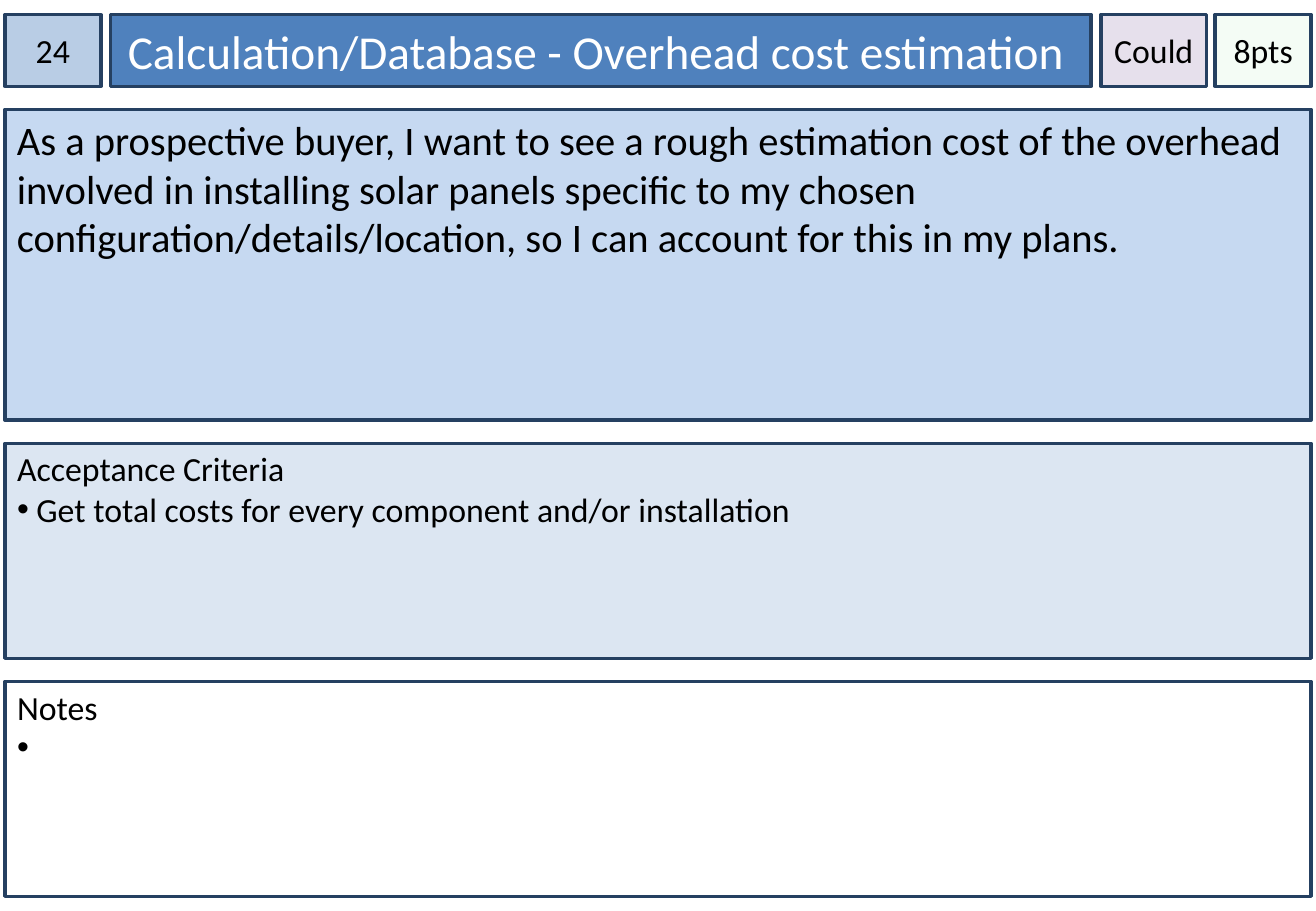
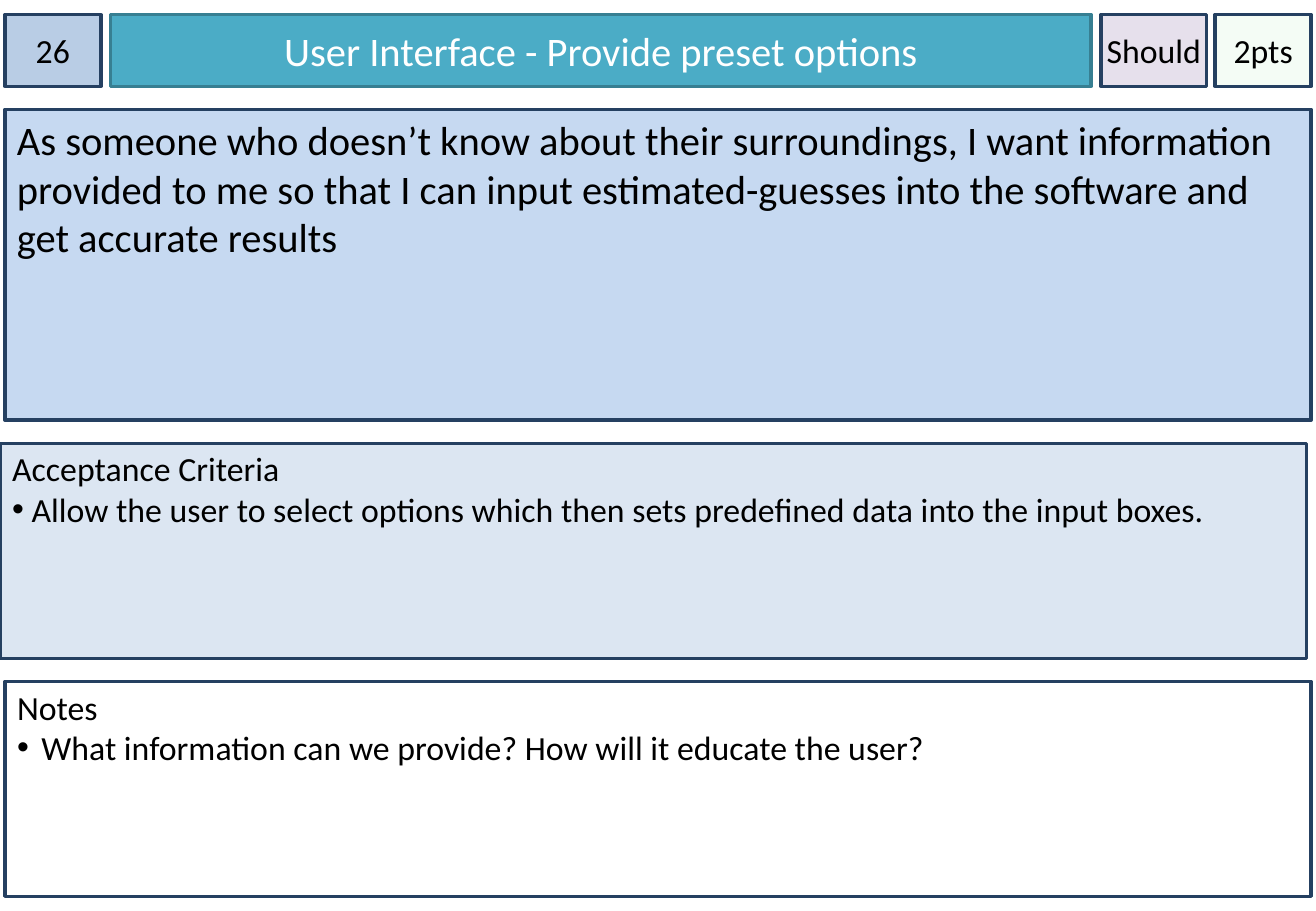
from lxml.etree import SubElement
from pptx import Presentation
from pptx.dml.color import RGBColor
from pptx.enum.shapes import MSO_SHAPE
from pptx.enum.text import MSO_ANCHOR, MSO_AUTO_SIZE, PP_ALIGN
from pptx.oxml.ns import qn
from pptx.util import Inches, Pt

FONT = "Calibri"
NAVY = RGBColor(0x25, 0x40, 0x61)
BLUE = RGBColor(0x4F, 0x81, 0xBD)
TEAL = RGBColor(0x4B, 0xAC, 0xC6)
DARK_TEAL = RGBColor(0x37, 0x7F, 0x92)
ID_BLUE = RGBColor(0xB9, 0xCD, 0xE5)
STORY_BLUE = RGBColor(0xC6, 0xD9, 0xF1)
CRITERIA_BLUE = RGBColor(0xDC, 0xE6, 0xF2)
LILAC = RGBColor(0xE6, 0xE0, 0xEC)
GREEN = RGBColor(0xCC, 0xF0, 0xCD)
WHITE = RGBColor(0xFF, 0xFF, 0xFF)
BLACK = RGBColor(0, 0, 0)

CARDS = [
    {
        "id": "24", "priority": "Could", "points": "8pts",
        "title": "Calculation/Database - Overhead cost estimation ",
        "title_size": 28, "title_fill": BLUE, "title_line": NAVY,
        "story": "As a prospective buyer, I want to see a rough estimation cost of the "
                 "overhead involved in installing solar panels specific to my chosen "
                 "configuration/details/location, so I can account for this in my plans.",
        "criteria": "Get total costs for every component and/or installation",
        "criteria_left": 0.04,
        "notes": " ",
    },
    {
        "id": "26", "priority": "Should", "points": "2pts",
        "title": "User Interface - Provide preset options",
        "title_size": 24, "title_fill": TEAL, "title_line": DARK_TEAL,
        "story": "As someone who doesn’t know about their surroundings, I want information "
                 "provided to me so that I can input estimated-guesses into the software "
                 "and get accurate results",
        "criteria": "Allow the user to select options which then sets predefined data "
                    "into the input boxes.",
        "criteria_left": 0,
        "notes": "What information can we provide? How will it educate the user?",
    },
]

LEFT, WIDTH = 0.04, 10.75
TOP, BAND_H = 0.12, 0.59
GAP = 0.19
STORY_H, LIST_H = 2.56, 1.77
STORY_TOP = TOP + BAND_H + GAP
CRITERIA_TOP = STORY_TOP + STORY_H + GAP
NOTES_TOP = CRITERIA_TOP + LIST_H + GAP

BOX_INSETS = (0.1, 0.05, 0.1, 0.05)
BADGE_INSETS = (0, 0.05, 0, 0.05)
LIST_INSETS = (0.1, 0.04, 0.1, 0.05)


def style_box(sp, at, fill, line=NAVY, insets=BOX_INSETS, anchor=MSO_ANCHOR.TOP, wrap=True):
    for name, value in zip(("left", "top", "width", "height"), at):
        setattr(sp, name, Inches(value))
    sp.fill.solid()
    sp.fill.fore_color.rgb = fill
    sp.line.color.rgb = line
    sp.line.width = Pt(2)
    tf = sp.text_frame
    for side, value in zip(("left", "top", "right", "bottom"), insets):
        setattr(tf, f"margin_{side}", Inches(value))
    frame = {"auto_size": MSO_AUTO_SIZE.NONE, "word_wrap": wrap, "vertical_anchor": anchor}
    for name, value in frame.items():
        setattr(tf, name, value)


def write(p, text, size, align=PP_ALIGN.LEFT, color=BLACK):
    p.alignment = align
    p.space_before = Pt(0)
    r = p.add_run()
    r.text = text
    for name, value in {"name": FONT, "size": Pt(size)}.items():
        setattr(r.font, name, value)
    r.font.color.rgb = color


def add_box(s, at, text, size, fill, align=PP_ALIGN.LEFT, **style):
    sp = s.shapes.add_shape(MSO_SHAPE.RECTANGLE, 0, 0, 0, 0)
    sp.shadow.inherit = False
    style_box(sp, at, fill, **style)
    write(sp.text_frame.paragraphs[0], text, size, align)
    return sp


def add_badge(s, left, width, text, fill, wrap=True):
    return add_box(s, (left, TOP, width, BAND_H), text, 20, fill, PP_ALIGN.CENTER,
                   insets=BADGE_INSETS, anchor=MSO_ANCHOR.MIDDLE, wrap=wrap)


def fill_list(sp, left, top, heading, item, indent, fill):
    style_box(sp, (left, top, WIDTH, LIST_H), fill, insets=LIST_INSETS)
    tf = sp.text_frame
    p = tf.paragraphs[0]
    write(p, heading, 20)
    pPr = p._p.get_or_add_pPr()
    pPr.set("marL", "0")
    pPr.set("indent", "0")
    SubElement(pPr, qn("a:buNone"))
    p = tf.add_paragraph()
    write(p, item, 20)
    pPr = p._p.get_or_add_pPr()
    pPr.set("marL", str(Inches(indent)))
    pPr.set("indent", str(-Inches(indent)))
    SubElement(pPr, qn("a:buFont"), typeface="Arial")
    SubElement(pPr, qn("a:buChar"), char="•")


def add_card(prs, card):
    s = prs.slides.add_slide(prs.slide_layouts[3])
    title, criteria, notes = list(s.placeholders)[:3]
    style_box(title, (0.91, TOP, 8.07, BAND_H), card["title_fill"], card["title_line"],
              anchor=MSO_ANCHOR.MIDDLE)
    write(title.text_frame.paragraphs[0], card["title"], card["title_size"],
          PP_ALIGN.CENTER, WHITE)
    add_badge(s, LEFT, 0.79, card["id"], ID_BLUE)
    add_badge(s, 9.06, 0.87, card["priority"], LILAC, wrap=False)
    points = add_badge(s, 10, 0.79, card["points"], GREEN)
    color = points.fill._xPr.find(qn("a:solidFill"))[0]
    SubElement(color, qn("a:alpha"), val="20000")
    add_box(s, (LEFT, STORY_TOP, WIDTH, STORY_H), card["story"], 24, STORY_BLUE)
    fill_list(criteria, card["criteria_left"], CRITERIA_TOP, "Acceptance Criteria",
              card["criteria"], 0.16, CRITERIA_BLUE)
    fill_list(notes, LEFT, NOTES_TOP, "Notes", card["notes"], 0.2, WHITE)


def main():
    prs = Presentation()
    prs.slide_width, prs.slide_height = Inches(10.83), Inches(7.5)
    for card in CARDS:
        add_card(prs, card)
    prs.save("out.pptx")


if __name__ == "__main__":
    main()
